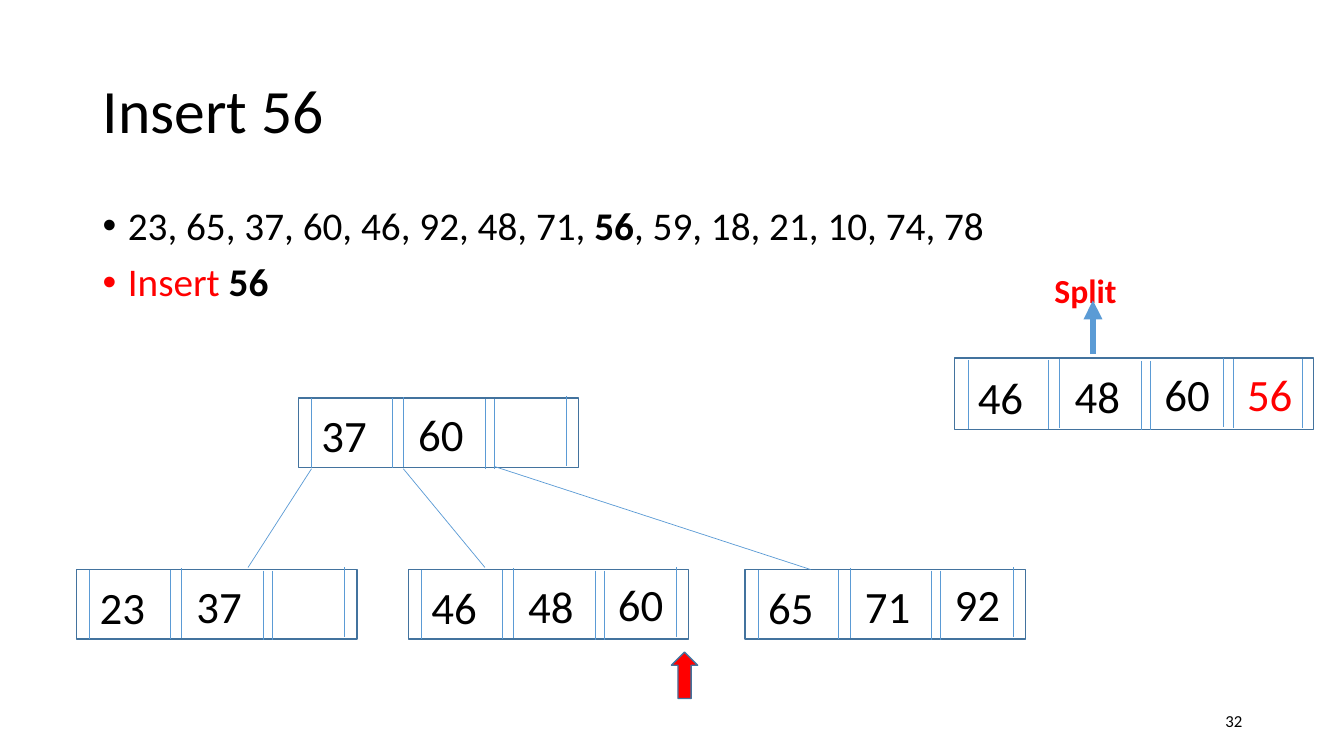
"""Build a slide that shows 56 being inserted into a B-tree and a leaf splitting."""
import dataclasses
import typing

import lxml.etree
import pptx
import pptx.dml.color
import pptx.enum.shapes
import pptx.enum.text
import pptx.oxml.ns
import pptx.util

Inches = pptx.util.Inches
Pt = pptx.util.Pt
Shape = pptx.enum.shapes.MSO_SHAPE
Anchor = pptx.enum.text.MSO_ANCHOR
Align = pptx.enum.text.PP_ALIGN
qn = pptx.oxml.ns.qn

COLORS = {"text": "000000", "red": "FF0000", "edge": "43739E", "rule": "5B9BD5"}
FONT = "Calibri"
RULES = [(0.13, 0), (0.93, 0), (1.04, -0.01), (1.85, 0.01), (1.94, 0.01), (2.66, -0.02)]
EXTRA = [(2.76, -0.01), (3.45, -0.01)]
KEYS = [(0.13, 0.05), (1.09, 0.04), (1.98, 0.02), (2.8, 0.02)]
RULE_H = 0.69


@dataclasses.dataclass
class Node:
    left: float
    top: float
    keys: list[str]
    new: str = ""


@dataclasses.dataclass
class Part:
    text: str
    color: str = "text"
    bold: bool = False


NODES = [
    Node(2.96, 3.95, ["37", "60"]),
    Node(0.76, 5.65, ["23", "37"]),
    Node(4.05, 5.65, ["46", "48", "60"]),
    Node(7.39, 5.65, ["65", "71", "92"]),
    Node(9.47, 3.57, ["46", "48", "60"], "56"),
]
LINKS = [
    (3.09, 4.65, 2.46, 5.63),
    (4, 4.65, 4.81, 5.63),
    (4.91, 4.63, 8.04, 5.65),
]
ITEMS = [
    [Part("23, 65, 37, 60, 46, 92, 48, 71, "), Part("56", bold=True),
     Part(", 59, 18, 21, 10, 74, 78")],
    [Part("Insert ", "red"), Part("56", bold=True)],
]


def tint(name: str) -> pptx.dml.color.RGBColor:
    return pptx.dml.color.RGBColor.from_string(COLORS[name])


def style(run: typing.Any, size: float, color: str = "text", bold: bool = False) -> None:
    run.font.name = FONT
    run.font.size = Pt(size)
    run.font.bold = bold
    run.font.color.rgb = tint(color)


def frame(shapes: typing.Any, x: float, y: float, w: float, h: float) -> typing.Any:
    box = shapes.add_textbox(Inches(x), Inches(y), Inches(w), Inches(h))
    box.text_frame.word_wrap = True
    return box.text_frame


def label(shapes: typing.Any, text: str, x: float, y: float, w: float, h: float,
          size: float, color: str = "text", bold: bool = False) -> typing.Any:
    body = frame(shapes, x, y, w, h)
    body.text = text
    style(body.paragraphs[0].runs[0], size, color, bold)
    return body


def line(shapes: typing.Any, x1: float, y1: float, x2: float, y2: float,
         width: float = 0.5) -> typing.Any:
    kind = pptx.enum.shapes.MSO_CONNECTOR.STRAIGHT
    link = shapes.add_connector(kind, Inches(x1), Inches(y1), Inches(x2), Inches(y2))
    link.line.color.rgb = tint("rule")
    link.line.width = Pt(width)
    lxml.etree.SubElement(link._element.spPr, qn("a:effectLst"))
    return link


def shape(shapes: typing.Any, kind: Shape, x: float, y: float, w: float, h: float,
          fill: str = "") -> None:
    form = shapes.add_shape(kind, Inches(x), Inches(y), Inches(w), Inches(h))
    form.shadow.inherit = False
    form.line.color.rgb = tint("edge")
    form.line.width = Pt(1)
    if fill:
        form.fill.solid()
        form.fill.fore_color.rgb = tint(fill)
    else:
        form.fill.background()


def draw(shapes: typing.Any, node: Node) -> None:
    group = shapes.add_group_shape().shapes
    if node.new:
        shape(group, Shape.RECTANGLE, node.left, node.top - 0.02, 3.56, 0.71)
    else:
        shape(group, Shape.RECTANGLE, node.left, node.top, 2.78, RULE_H)
    for dx, dy in RULES + (EXTRA if node.new else []):
        x, y = node.left + dx, node.top + dy
        line(group, x, y, x, y + RULE_H)
    keys = node.keys + ([node.new] if node.new else [])
    for key, (dx, dy) in zip(keys, KEYS):
        color = "red" if key == node.new else "text"
        label(group, key, node.left + dx, node.top + dy, 0.8, 0.64, 32, color)


def bullets(shapes: typing.Any, items: list[list[Part]]) -> None:
    body = frame(shapes, 0.92, 2, 11.5, 4.76)
    for index, parts in enumerate(items):
        para = body.add_paragraph() if index else body.paragraphs[0]
        para.line_spacing = 0.9
        para.space_before = Pt(10)
        props = para._p.get_or_add_pPr()
        props.set("marL", str(Inches(0.25)))
        props.set("indent", str(Inches(-0.25)))
        lxml.etree.SubElement(props, qn("a:buFont"), typeface="Arial")
        lxml.etree.SubElement(props, qn("a:buChar"), char="•")
        for part in parts:
            run = para.add_run()
            run.text = part.text
            style(run, 28, part.color, part.bold)


deck = pptx.Presentation()
deck.slide_width = Inches(13.33)
deck.slide_height = Inches(7.5)
shapes = deck.slides.add_slide(deck.slide_layouts[6]).shapes

title = label(shapes, "Insert 56", 0.92, 0.4, 11.5, 1.45, 44)
title.vertical_anchor = Anchor.MIDDLE
title.paragraphs[0].line_spacing = 0.9
bullets(shapes, ITEMS)
number = label(shapes, "32", 9.42, 6.95, 3, 0.4, 12)
number.vertical_anchor = Anchor.MIDDLE
number.paragraphs[0].alignment = Align.RIGHT

for node in NODES:
    draw(shapes, node)
for ends in LINKS:
    line(shapes, *ends)

label(shapes, "Split", 10.36, 2.63, 0.96, 0.5, 24, "red", True)
arrow = line(shapes, 10.84, 3.51, 10.84, 2.98, 4.5)
stroke = arrow._element.spPr.find(qn("a:ln"))
lxml.etree.SubElement(stroke, qn("a:tailEnd"), type="triangle")
shape(shapes, Shape.UP_ARROW, 6.66, 6.47, 0.26, 0.46, "red")

deck.save("out.pptx")
